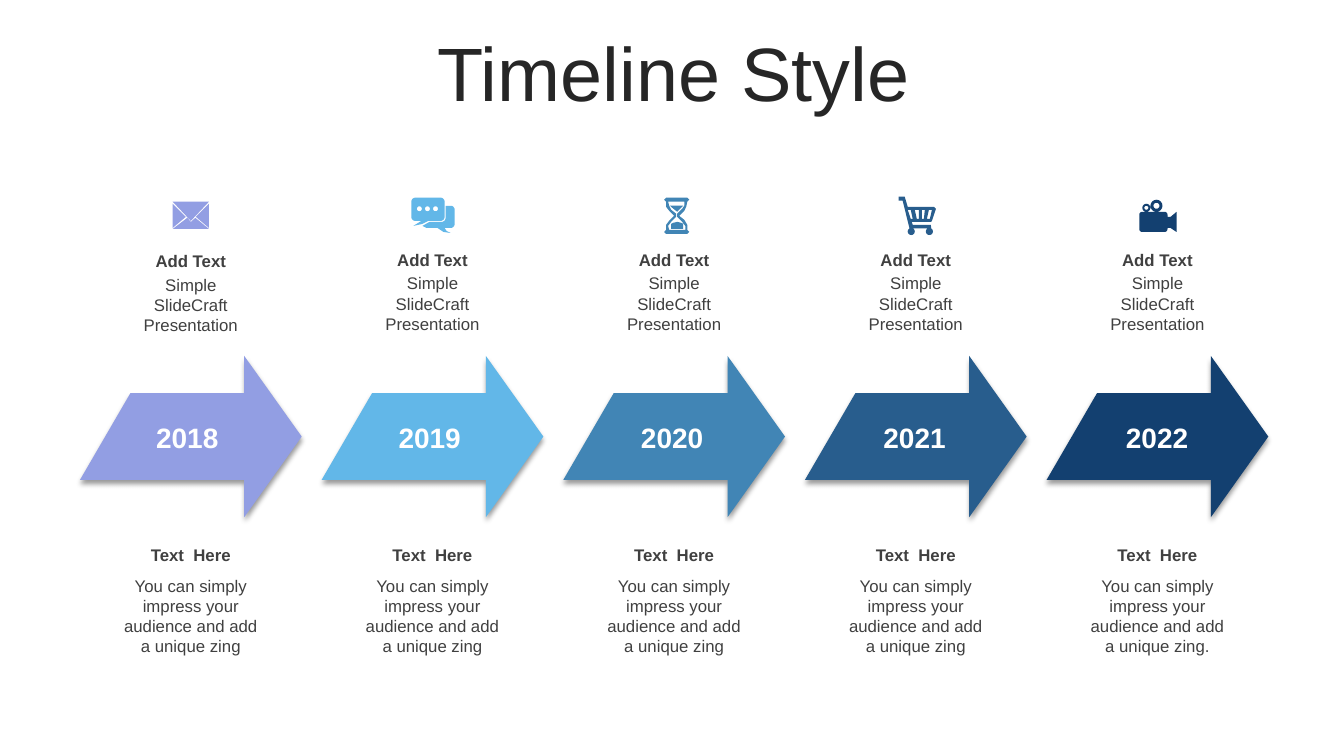
from dataclasses import dataclass
from math import cos, radians, sin

from lxml import etree
from pptx import Presentation
from pptx import util as u
from pptx.dml.color import RGBColor
from pptx.enum import text
from pptx.oxml.ns import qn


@dataclass(frozen=True)
class Theme:
    font: str = "Arial"
    title: str = "262626"
    body: str = "404040"
    year: str = "FFFFFF"
    shadow: str = "000000"
    steps: tuple = ("929EE3", "62B7E8", "4185B5", "285D8D", "134070")
    title_size: int = 54
    year_size: int = 20
    body_size: int = 12


def arc(x, y, radius, start=0, end=360, parts=16):
    angles = [radians(start + (end - start) * i / parts) for i in range(parts + 1)]
    return [(x + radius * cos(a), y + radius * sin(a)) for a in angles]


ENVELOPE = [
    [(4.5, 26), (18, 37), (-18, 37), (-3.5, 26), (0, 30)],
    [(18, 12), (18, 36), (5, 25)],
    [(-18, 12), (-5, 25), (-18, 36)],
    [(-18, 10), (18, 10), (0, 29)],
]
CHAT = [
    arc(-17, 10, 4, 180, 270) + arc(8, 10, 4, 270, 360) + arc(8, 25, 4, 0, 90)
    + [(-4, 29), (-10, 32), (-19, 34), (-11, 29)] + arc(-17, 25, 4, 90, 180),
    [(13, 14)] + arc(18, 18, 4, 270, 360) + arc(18, 32, 4, 0, 90)
    + [(12, 36), (14, 39), (18, 41), (11, 40), (5, 36), (-6, 36), (-10, 34),
       (-3, 30)] + arc(9, 26, 4, 90, 0),
    *[arc(x, 17, 2.5) for x in (-13, -5, 3)],
]
HOURGLASS = [
    [(-8, 6), (13, 6), (15, 8), (13, 10), (12, 15), (10, 19), (5, 24), (10, 28),
     (13, 33), (13, 38), (15, 40), (13, 42), (-8, 42), (-10, 40), (-8, 38),
     (-8, 33), (-5, 29), (0, 24), (-5, 19), (-8, 15), (-8, 10), (-10, 8)],
    [(-6, 10), (-5, 14), (-3, 18), (2, 22), (2, 25), (-3, 30), (-6, 34), (-5, 38),
     (11, 38), (11, 34), (8, 30), (3, 25), (3, 22), (8, 17), (10, 14), (10, 10)],
    [(-4, 14), (9, 14), (7, 16), (3, 20), (-2, 16)],
    [(3, 30), (7, 31), (9, 32), (9, 37), (-3, 37), (-3, 32), (-1, 31)],
]
CART = [
    [(-11, 5), (-8, 15), (18, 15), (20, 17), (16, 29), (15, 30), (-4, 30), (-3, 33),
     (15, 33)] + arc(13.5, 39.5, 3.5, -60, 240) + arc(-4.5, 39.5, 3.5, -60, 240)
    + [(-13, 9), (-17, 9), (-17, 5)],
    [(13, 18), (11, 27), (14, 27), (16, 18)],
    [(6, 18), (6, 27), (8, 27), (9, 18)],
    [(-1, 18), (1, 27), (3, 27), (3, 18)],
    [(-8, 18), (-5, 27), (-3, 27), (-5, 18)],
]
CAMERA = [
    arc(-15, 23, 3, 180, 270) + arc(7, 23, 3, 270, 360)
    + [(10, 25), (13, 25), (19, 20), (19, 40), (13, 36), (10, 36)]
    + arc(7, 37, 3, 0, 90) + arc(-15, 37, 3, 90, 180),
    arc(-11, 16, 4), arc(-11, 16, 2), arc(-1, 14, 6), arc(-1, 14, 3),
]
ARROW = [[(53, 0), (110, 80), (53, 160), (53, 123), (-110, 123), (-60, 37), (53, 37)]]

TITLE = "Timeline Style"
CAPTION = ("Add Text", "Simple SlideCraft Presentation")
DETAIL_HEADING = "Text  Here"
DETAIL = "You can simply impress your audience and add a unique zing"
STEPS = [
    ("2018", ENVELOPE, DETAIL, 0.04),
    ("2019", CHAT, DETAIL, 0),
    ("2020", HOURGLASS, DETAIL, 0),
    ("2021", CART, DETAIL, 0),
    ("2022", CAMERA, DETAIL + ".", 0),
]

FIRST_CENTRE, PITCH = 4.81, 6.09
FIRST_YEAR, YEAR_PITCH = 4.72, 6.11
ICON_TOP, ARROW_TOP = 4.83, 8.97
UNIT = u.Cm(2.54) / 100

theme = Theme()
deck = Presentation()
deck.slide_width, deck.slide_height = u.Cm(33.87), u.Cm(19.05)
page = deck.slides.add_slide(deck.slide_layouts[5])


def write(para, words, size, colour, bold=False):
    para.alignment = text.PP_ALIGN.CENTER
    span = para.add_run()
    span.text = words
    span.font.name = theme.font
    span.font.size = u.Pt(size)
    span.font.bold = bold
    span.font.color.rgb = RGBColor.from_string(colour)


def add_label(words, centre, top, width, height, size, colour, bold=False):
    box = page.shapes.add_textbox(
        u.Cm(centre - width / 2), u.Cm(top), u.Cm(width), u.Cm(height))
    box.text_frame.word_wrap = True
    box.text_frame.auto_size = text.MSO_AUTO_SIZE.SHAPE_TO_FIT_TEXT
    write(box.text_frame.paragraphs[0], words, size, colour, bold)


def add_outline(contours, centre, top, colour):
    scaled = [[(x * UNIT, y * UNIT) for x, y in contour] for contour in contours]
    builder = page.shapes.build_freeform(*scaled[0][0])
    builder.add_line_segments(scaled[0][1:])
    for contour in scaled[1:]:
        builder.move_to(*contour[0])
        builder.add_line_segments(contour[1:])
    shape = builder.convert_to_shape(u.Cm(centre), u.Cm(top))
    shape.shadow.inherit = False
    shape.fill.solid()
    shape.fill.fore_color.rgb = RGBColor.from_string(colour)
    shape.line.fill.background()
    return shape


def add_shadow(shape):
    effects = shape._element.spPr.find(qn("a:effectLst"))
    outer = etree.SubElement(
        effects, qn("a:outerShdw"), blurRad=str(u.Pt(4)), dist=str(u.Pt(3)),
        dir="5400000", algn="t", rotWithShape="0")
    colour = etree.SubElement(outer, qn("a:srgbClr"), val=theme.shadow)
    etree.SubElement(colour, qn("a:alpha"), val="40000")


title = page.shapes.title
title.left, title.top = u.Cm(0.9), u.Cm(0.93)
title.width, title.height = u.Cm(32.15), u.Cm(2.01)
title.text_frame.word_wrap = True
title.text_frame.auto_size = text.MSO_AUTO_SIZE.NONE
title.text_frame.vertical_anchor = text.MSO_ANCHOR.MIDDLE
heading = title.text_frame.paragraphs[0]
heading.line_spacing = 0.9
write(heading, TITLE, theme.title_size, theme.title)

for index, (year, icon, detail, drop) in enumerate(STEPS):
    centre = FIRST_CENTRE + PITCH * index
    year_centre = FIRST_YEAR + YEAR_PITCH * index
    colour = theme.steps[index]
    add_shadow(add_outline(ARROW, centre, ARROW_TOP, colour))
    add_outline(icon, centre, ICON_TOP, colour)
    add_label(year, year_centre, 10.46, 2.49, 1.11, theme.year_size, theme.year, True)
    for words, top, width, height, bold in (
        (CAPTION[0], 6.16 + drop, 3.56, 0.76, True),
        (CAPTION[1], 6.76 + drop, 3.56, 1.8, False),
        (DETAIL_HEADING, 13.61, 3.94, 0.76, True),
        (detail, 14.38, 3.94, 2.31, False),
    ):
        add_label(words, centre, top, width, height, theme.body_size, theme.body, bold)

deck.save("out.pptx")
